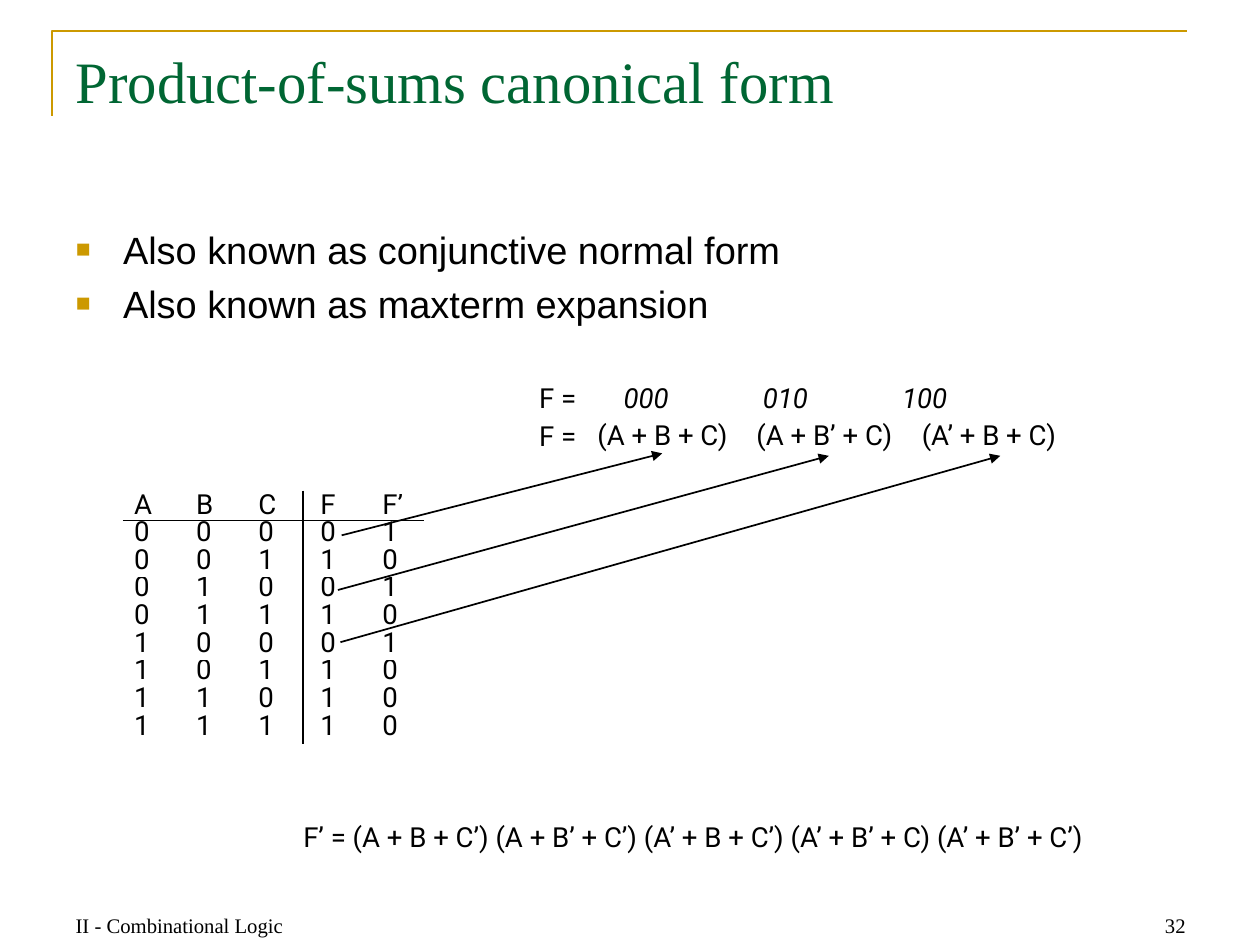
from dataclasses import dataclass
from itertools import product

from lxml.etree import SubElement
from pptx import Presentation
from pptx.dml.color import RGBColor
from pptx.enum.shapes import MSO_CONNECTOR as Connector
from pptx.enum.text import MSO_ANCHOR as Anchor, MSO_AUTO_SIZE as AutoSize, PP_ALIGN as Align
from pptx.oxml.ns import qn
from pptx.slide import Slide
from pptx.text.text import TextFrame, _Paragraph as Paragraph
from pptx.util import Inches, Length, Pt

WIDTH, HEIGHT = Inches(10.14), Inches(7.6)


@dataclass(frozen=True)
class Style:
    font: str
    size: float
    color: str


@dataclass(frozen=True)
class Theme:
    ink: str = "000000"
    gold: str = "CC9900"
    title: Style = Style("Times New Roman", 34, "006633")
    body: Style = Style("Arial", 22, "000000")
    formula: Style = Style("Roboto", 16, "000000")
    footer: Style = Style("Times New Roman", 12, "000000")
    formula_leading: float = 22
    table_leading: float = 16


@dataclass(frozen=True)
class Point:
    """A place in percent of the slide's width and height."""
    x: float
    y: float

    def emu(self) -> tuple[Length, Length]:
        return Length(round(WIDTH * self.x / 100)), Length(round(HEIGHT * self.y / 100))


@dataclass(frozen=True)
class Box:
    """An area in percent of the slide's width and height."""
    left: float
    top: float
    width: float
    height: float

    def emu(self) -> tuple[Length, ...]:
        return Point(self.left, self.top).emu() + Point(self.width, self.height).emu()


@dataclass(frozen=True)
class SumTerm:
    """A factor of F, with the arrow from its row of the truth table."""
    text: str
    left: float
    start: Point
    end: Point


THEME = Theme()
SUM_TERMS = (
    SumTerm("(A + B + C)", 46.45, Point(27.12, 56.71), Point(52.56, 48.03)),
    SumTerm("(A + B’ + C)", 59.07, Point(26.82, 62.5), Point(65.78, 48.29)),
    SumTerm("(A’ + B + C)", 72.19, Point(27.02, 68.03), Point(79.39, 48.29)),
)
TABLE_RULES = (
    (Point(9.76, 55.13), Point(33.63, 55.13)),
    (Point(24.06, 51.97), Point(24.06, 78.82)),
)
FALSE_INPUTS = ((0, 0, 0), (0, 1, 0), (1, 0, 0))
HEADINGS = ("A", "B", "C", "F", "F’")
CODE_TABS = (0.68, 1.8, 2.92)
BULLETS = ("Also known as conjunctive normal form", "Also known as maxterm expansion")


def style_paragraph(para: Paragraph, style: Style, leading: float | None = None) -> None:
    if leading:
        para.line_spacing = Pt(leading)
    for span in para.runs:
        span.font.name = style.font
        span.font.size = Pt(style.size)
        span.font.color.rgb = RGBColor.from_string(style.color)


def set_frame(frame: TextFrame, inset: tuple[float, float] = (0.1, 0.05),
              anchor: Anchor = Anchor.TOP) -> None:
    frame.word_wrap = True
    frame.auto_size = AutoSize.NONE
    frame.vertical_anchor = anchor
    frame.margin_left = frame.margin_right = Inches(inset[0])
    frame.margin_top = frame.margin_bottom = Inches(inset[1])


def add_text(page: Slide, box: Box, text: str, style: Style, leading: float | None = None,
             inset: tuple[float, float] = (0.1, 0.05), anchor: Anchor = Anchor.TOP,
             align: Align = Align.LEFT) -> TextFrame:
    frame = page.shapes.add_textbox(*box.emu()).text_frame
    set_frame(frame, inset, anchor)
    frame.text = text
    for para in frame.paragraphs:
        para.alignment = align
        style_paragraph(para, style, leading)
    return frame


def add_line(page: Slide, start: Point, end: Point, arrow: bool = False) -> None:
    line = page.shapes.add_connector(Connector.STRAIGHT, *start.emu(), *end.emu())
    line.line.color.rgb = RGBColor.from_string(THEME.ink)
    line.line.width = Pt(1)
    if arrow:
        SubElement(line.line._get_or_add_ln(), qn("a:tailEnd"), type="triangle")
    SubElement(line._element.spPr, qn("a:effectLst"))


def add_bullet(para: Paragraph) -> None:
    properties = para._p.get_or_add_pPr()
    properties.set("marL", str(Inches(0.38)))
    properties.set("indent", str(-Inches(0.38)))
    color = SubElement(properties, qn("a:buClr"))
    SubElement(color, qn("a:srgbClr"), val=THEME.gold)
    SubElement(properties, qn("a:buSzPct"), val="65000")
    SubElement(properties, qn("a:buFont"), typeface="Arial")
    SubElement(properties, qn("a:buChar"), char="■")


def add_tabs(para: Paragraph, stops: tuple[float, ...]) -> None:
    tabs = SubElement(para._p.get_or_add_pPr(), qn("a:tabLst"))
    for stop in stops:
        SubElement(tabs, qn("a:tab"), pos=str(Inches(stop)), algn="l")


def add_title_frame(page: Slide) -> None:
    corners = [Point(4.14, 12.24).emu(), Point(4.14, 3.29).emu(), Point(94.18, 3.29).emu()]
    builder = page.shapes.build_freeform(*corners[0])
    builder.add_line_segments(corners[1:], close=False)
    outline = builder.convert_to_shape()
    outline.shadow.inherit = False
    outline.fill.background()
    outline.line.color.rgb = RGBColor.from_string(THEME.gold)
    outline.line.width = Pt(1.5)


def fill_placeholders(page: Slide) -> None:
    title, body = page.placeholders
    title.left, title.top, title.width, title.height = Box(5.03, 4.08, 89.94, 16.58).emu()
    body.left, body.top, body.width, body.height = Box(5.03, 23.29, 89.94, 66.05).emu()
    for holder, text, style in ((title, "Product-of-sums canonical form", THEME.title),
                                (body, "\n".join(BULLETS), THEME.body)):
        set_frame(holder.text_frame)
        holder.text_frame.text = text
        for number, para in enumerate(holder.text_frame.paragraphs):
            if holder is body:
                add_bullet(para)
            para.alignment = Align.LEFT
            para.space_before = Pt(5 if number else 0)
            style_paragraph(para, style)


def add_truth_table(page: Slide) -> None:
    rows = [HEADINGS]
    for inputs in product((0, 1), repeat=3):
        value = int(inputs not in FALSE_INPUTS)
        rows.append((*inputs, value, 1 - value))
    area = Box(10.45, 52.24, 24.65, 26.32)
    table = page.shapes.add_table(len(rows), len(HEADINGS), *area.emu()).table
    table.first_row = table.horz_banding = False
    for cell, value in zip(table.iter_cells(), (value for row in rows for value in row)):
        cell.fill.background()
        cell.margin_left = cell.margin_right = Inches(0.02)
        cell.margin_top = cell.margin_bottom = 0
        cell.text = str(value)
        style_paragraph(cell.text_frame.paragraphs[0], THEME.formula, THEME.table_leading)
    for start, end in TABLE_RULES:
        add_line(page, start, end)


def add_formulas(page: Slide) -> None:
    style, leading, inset = THEME.formula, THEME.formula_leading, (0.02, 0.03)
    frame = add_text(page, Box(42.6, 39.47, 44.38, 9.21), "F =\nF =", style, leading, inset)
    codes = frame.paragraphs[0]
    add_tabs(codes, CODE_TABS)
    span = codes.add_run()
    span.text = "".join(f"\t{a}{b}{c}" for a, b, c in FALSE_INPUTS)
    span.font.italic = True
    style_paragraph(codes, style, leading)
    add_text(page, Box(23.87, 85.92, 72.29, 9.47),
             "F’ = (A + B + C’) (A + B’ + C’) (A’ + B + C’) (A’ + B’ + C) (A’ + B’ + C’)",
             style, leading, inset)
    for term in SUM_TERMS:
        add_text(page, Box(term.left, 43.16, 14, 8.95), term.text, style, leading)
        add_line(page, term.start, term.end, arrow=True)


def main() -> None:
    deck = Presentation()
    deck.slide_width, deck.slide_height = WIDTH, HEIGHT
    page = deck.slides.add_slide(deck.slide_layouts[1])
    add_title_frame(page)
    fill_placeholders(page)
    for left, text, align in ((5.03, "II - Combinational Logic", Align.LEFT),
                              (71.7, "32", Align.RIGHT)):
        add_text(page, Box(left, 93.29, 23.37, 6.71), text, THEME.footer,
                 anchor=Anchor.BOTTOM, align=align)
    add_truth_table(page)
    add_formulas(page)
    deck.save("out.pptx")


if __name__ == "__main__":
    main()
